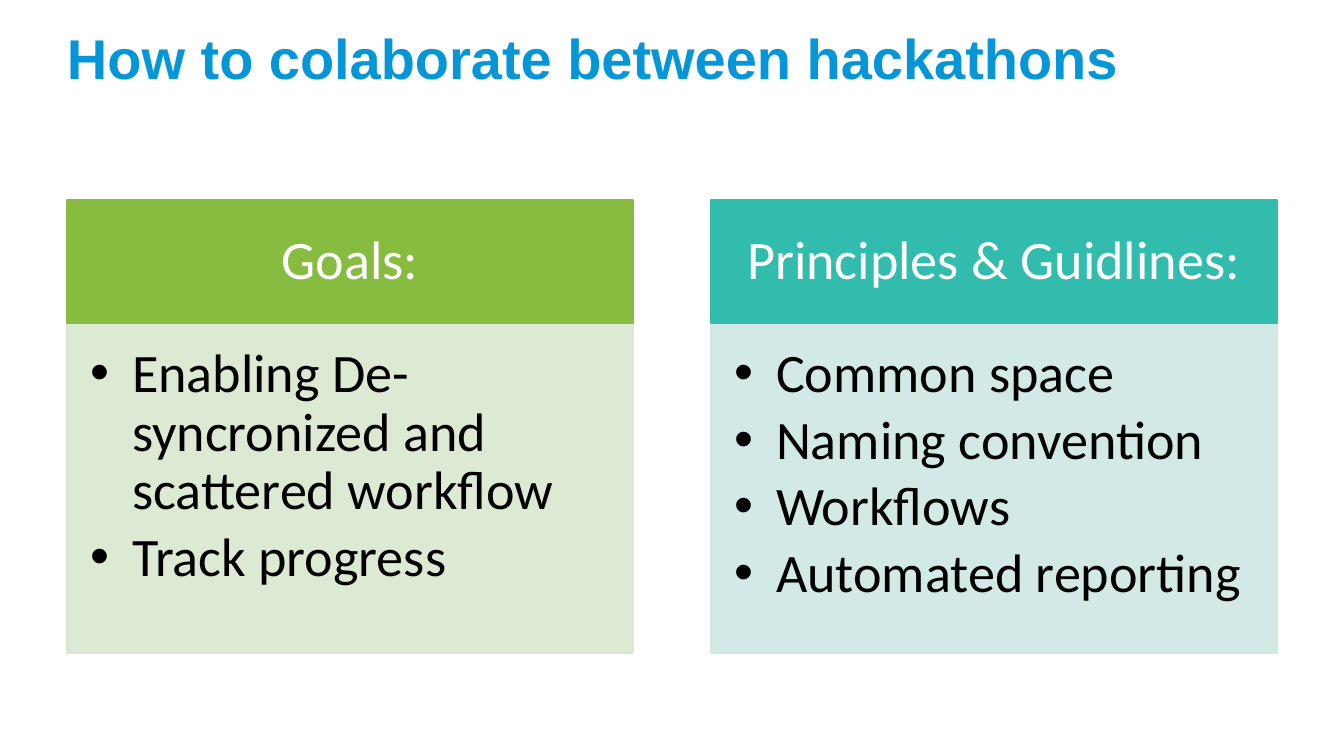
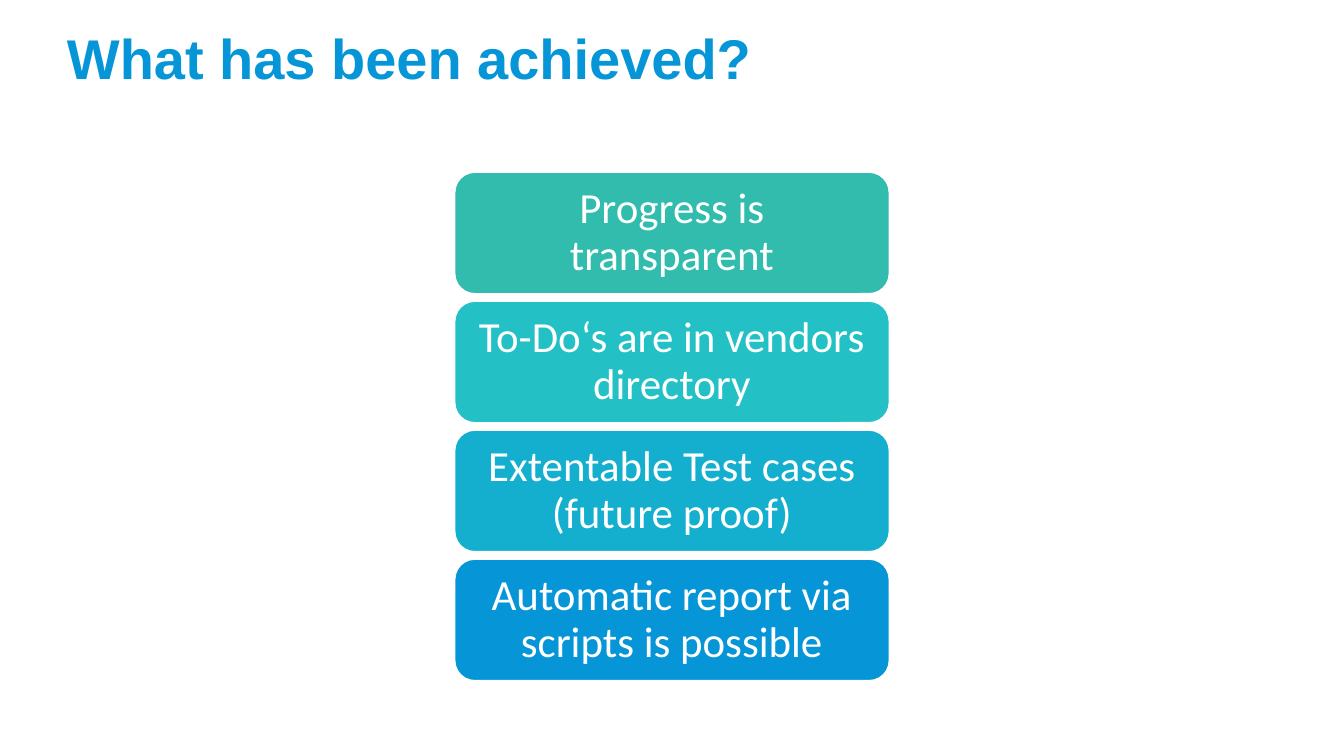
from dataclasses import dataclass

import pptx
import pptx.dml.color
import pptx.enum.shapes
import pptx.enum.text
import pptx.oxml.ns
import pptx.util
from lxml import etree

COLUMNS_TITLE = "How to colaborate between hackathons"
COLUMNS = [
    ("Goals:", "green", "pale_green",
     ["Enabling De-syncronized and scattered workflow", "Track progress"]),
    ("Principles & Guidlines:", "teal", "pale_teal",
     ["Common space", "Naming convention", "Workflows", "Automated reporting"]),
]
ACHIEVEMENTS_TITLE = "What has been achieved?"
ACHIEVEMENTS = [
    ("Progress is transparent", "teal"),
    ("To-Do‘s are in vendors directory", "turquoise"),
    ("Extentable Test cases (future proof)", "sky"),
    ("Automatic report via scripts is possible", "blue"),
]


@dataclass(frozen=True)
class Theme:
    blue: str = "0696D7"
    sky: str = "14AFCF"
    turquoise: str = "23C1C6"
    teal: str = "32BCAD"
    green: str = "87BC40"
    pale_green: str = "D9E7CF"
    pale_teal: str = "CEE7E3"
    white: str = "FFFFFF"
    black: str = "000000"
    title_font: str = "Arial"
    body_font: str = "Calibri"
    title_size: int = 30
    column_size: int = 29
    box_size: int = 23
    line_spacing: float = 0.9
    list_spacing: float = 4.3
    list_opacity: int = 90


THEME = Theme()
EMU_PER_PX = 914400 / 134.4
SLIDE_WIDTH, SLIDE_HEIGHT = 1344, 756
MARGIN = 67
CONTENT_WIDTH = SLIDE_WIDTH - 2 * MARGIN
TITLE_TOP, TITLE_HEIGHT = 31, 126
COLUMN_TOP, COLUMN_GAP = 200, 78
HEADER_HEIGHT, LIST_HEIGHT = 123, 330
LIST_INDENT = 42
BOX_WIDTH, BOX_HEIGHT, BOX_TOP, BOX_GAP = 435, 122, 172, 7

ALIGN = pptx.enum.text.PP_ALIGN
ANCHOR = pptx.enum.text.MSO_ANCHOR
SHAPE = pptx.enum.shapes.MSO_SHAPE


def px(length):
    return pptx.util.Emu(round(length * EMU_PER_PX))


def rgb(name):
    return pptx.dml.color.RGBColor.from_string(getattr(THEME, name))


def set_all(target, values):
    for name, value in values.items():
        setattr(target, name, value)


def place(shape, left, top, width, height):
    set_all(shape, {"left": px(left), "top": px(top),
                    "width": px(width), "height": px(height)})


def paint(shape, fill, line, opacity=100):
    shape.fill.solid()
    shape.fill.fore_color.rgb = rgb(fill)
    shape.line.color.rgb = rgb(line)
    shape.line.width = pptx.util.Pt(1)
    if opacity < 100:
        for color in shape._element.spPr.iter(pptx.oxml.ns.qn("a:srgbClr")):
            etree.SubElement(color, pptx.oxml.ns.qn("a:alpha"), val=str(opacity * 1000))


def write(shape, lines, size, color, font="body_font", align=ALIGN.LEFT,
          anchor=ANCHOR.TOP, insets=(0, 0, 0, 0), bold=False, space_after=0):
    """Fill the shape with one paragraph per line; insets run left, top, right, bottom."""
    frame = shape.text_frame
    sides = ("margin_left", "margin_top", "margin_right", "margin_bottom")
    set_all(frame, dict(zip(sides, map(px, insets))))
    set_all(frame, {"word_wrap": True, "vertical_anchor": anchor,
                    "auto_size": pptx.enum.text.MSO_AUTO_SIZE.NONE})
    frame.text = "\n".join(lines)
    for paragraph in frame.paragraphs:
        set_all(paragraph, {"alignment": align, "line_spacing": THEME.line_spacing,
                            "space_before": pptx.util.Pt(0),
                            "space_after": pptx.util.Pt(space_after)})
        for run in paragraph.runs:
            set_all(run.font, {"name": getattr(THEME, font), "bold": bold,
                               "size": pptx.util.Pt(getattr(THEME, size))})
            run.font.color.rgb = rgb(color)


def add_bullets(shape):
    for paragraph in shape.text_frame.paragraphs:
        properties = paragraph._p.get_or_add_pPr()
        properties.set("marL", str(px(LIST_INDENT)))
        properties.set("indent", str(-px(LIST_INDENT)))
        etree.SubElement(properties, pptx.oxml.ns.qn("a:buFont"), typeface="Arial")
        etree.SubElement(properties, pptx.oxml.ns.qn("a:buChar"), char="•")


def add_titled_slide(presentation, layout_name, title):
    layout = presentation.slide_layouts.get_by_name(layout_name)
    slide = presentation.slides.add_slide(layout)
    place(slide.shapes.title, MARGIN, TITLE_TOP, CONTENT_WIDTH, TITLE_HEIGHT)
    write(slide.shapes.title, [title], "title_size", "blue", font="title_font", bold=True)
    return slide


def add_label(slide, kind, position, text, size, fill, line, insets):
    label = slide.shapes.add_shape(kind, *map(px, position))
    label.shadow.inherit = False
    paint(label, fill, line)
    write(label, [text], size, "white", align=ALIGN.CENTER,
          anchor=ANCHOR.MIDDLE, insets=insets)


def build_columns(presentation):
    slide = add_titled_slide(presentation, "Two Content", COLUMNS_TITLE)
    width = (CONTENT_WIDTH - COLUMN_GAP * (len(COLUMNS) - 1)) / len(COLUMNS)
    for index, (heading, strong, pale, items) in enumerate(COLUMNS):
        left = MARGIN + index * (width + COLUMN_GAP)
        add_label(slide, SHAPE.RECTANGLE, (left, COLUMN_TOP, width, HEADER_HEIGHT),
                  heading, "column_size", strong, strong, (31, 17, 31, 17))
        body = slide.placeholders[index + 1]
        place(body, left, COLUMN_TOP + HEADER_HEIGHT, width, LIST_HEIGHT)
        paint(body, pale, pale, THEME.list_opacity)
        write(body, items, "column_size", "black", insets=(23, 23, 31, 34),
              space_after=THEME.list_spacing)
        add_bullets(body)


def build_achievements(presentation):
    slide = add_titled_slide(presentation, "Title Only", ACHIEVEMENTS_TITLE)
    left = (SLIDE_WIDTH - BOX_WIDTH) / 2
    for index, (text, fill) in enumerate(ACHIEVEMENTS):
        top = BOX_TOP + index * (BOX_HEIGHT + BOX_GAP)
        add_label(slide, SHAPE.ROUNDED_RECTANGLE, (left, top, BOX_WIDTH, BOX_HEIGHT),
                  text, "box_size", fill, "white", (13, 6, 13, 6))


def main():
    presentation = pptx.Presentation()
    set_all(presentation, {"slide_width": px(SLIDE_WIDTH),
                           "slide_height": px(SLIDE_HEIGHT)})
    build_columns(presentation)
    build_achievements(presentation)
    presentation.save("out.pptx")


if __name__ == "__main__":
    main()
